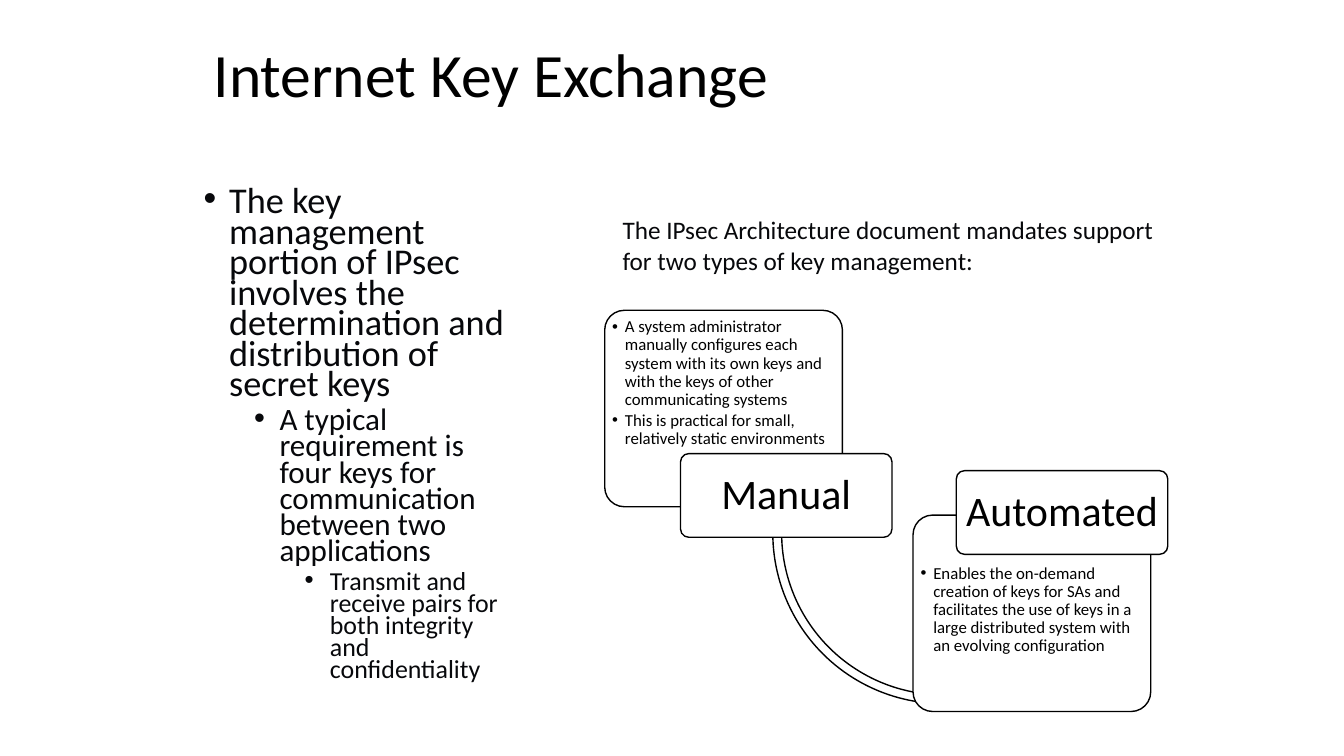
from lxml import etree
from pptx import Presentation
from pptx.dml.color import RGBColor
from pptx.enum.shapes import MSO_SHAPE
from pptx.enum.text import MSO_ANCHOR, MSO_AUTO_SIZE, PP_ALIGN
from pptx.oxml.ns import qn
from pptx.util import Cm, Pt

BLACK = RGBColor(0x00, 0x00, 0x00)
INK = RGBColor(0x07, 0x08, 0x0B)
WHITE = RGBColor(0xFF, 0xFF, 0xFF)
ROUNDED = MSO_SHAPE.ROUNDED_RECTANGLE
CURVED_ARROW = MSO_SHAPE.LEFT_CIRCULAR_ARROW
TOP, MIDDLE = MSO_ANCHOR.TOP, MSO_ANCHOR.MIDDLE
LEFT, CENTER = PP_ALIGN.LEFT, PP_ALIGN.CENTER
NO_FIT = MSO_AUTO_SIZE.NONE
FONT = "Calibri"

PANEL_W, PANEL_H = 5.99, 4.95
NOTES_W, NOTES_H = 5.77, 3.66
LABEL_W, LABEL_H = 5.33, 2.11
LABEL_PAD = 0.06


class SlideBuilder:
    def __init__(self, slide):
        self.slide = slide

    def place(self, shape, left, top, width, height):
        shape.left, shape.top = Cm(left), Cm(top)
        shape.width, shape.height = Cm(width), Cm(height)

    def style(self, paragraph, size, color=BLACK, align=LEFT, spacing=1.0, before=0, after=0):
        paragraph.font.name = FONT
        paragraph.font.size = Pt(size)
        paragraph.font.color.rgb = color
        paragraph.alignment = align
        paragraph.line_spacing = spacing
        paragraph.space_before, paragraph.space_after = Pt(before), Pt(after)

    def bullet(self, paragraph, margin, hanging):
        properties = paragraph._p.get_or_add_pPr()
        properties.set("marL", str(Cm(margin)))
        properties.set("indent", str(-Cm(hanging)))
        etree.SubElement(properties, qn("a:buFont")).set("typeface", "Arial")
        etree.SubElement(properties, qn("a:buChar")).set("char", "•")
        # Font defaults must follow the bullet settings
        defaults = properties.find(qn("a:defRPr"))
        if defaults is not None:
            properties.append(defaults)

    def paragraphs(self, frame, texts):
        frame.text = "\n".join(texts)
        return frame.paragraphs

    def title(self, text, *box):
        title = self.slide.shapes.title
        self.place(title, *box)
        frame = title.text_frame
        frame.text = text
        frame.auto_size, frame.vertical_anchor = NO_FIT, MIDDLE
        self.style(frame.paragraphs[0], 44, spacing=0.9)

    def outline(self, levels, *box):
        body = self.slide.placeholders[1]
        self.place(body, *box)
        frame = body.text_frame
        frame.auto_size = NO_FIT
        lines = self.paragraphs(frame, [text for text, _, _ in levels])
        for level, (line, (_, size, before)) in enumerate(zip(lines, levels)):
            line.level = level
            self.style(line, size, INK, spacing=0.7, before=before)
            self.bullet(line, 0.64 + 1.27 * level, 0.64)

    def text(self, texts, *box, pad=(0.25, 0.13), anchor=TOP):
        frame = self.slide.shapes.add_textbox(*map(Cm, box)).text_frame
        frame.word_wrap, frame.vertical_anchor = True, anchor
        frame.margin_left = frame.margin_right = Cm(pad[0])
        frame.margin_top = frame.margin_bottom = Cm(pad[1])
        return self.paragraphs(frame, texts)

    def shape(self, kind, adjustments, *box):
        shape = self.slide.shapes.add_shape(kind, *map(Cm, box))
        for index, value in enumerate(adjustments):
            shape.adjustments[index] = value
        shape.shadow.inherit = False
        shape.fill.solid()
        shape.fill.fore_color.rgb = WHITE
        shape.line.color.rgb = BLACK
        shape.line.width = Pt(1)

    def panel(self, notes, left, top, notes_top):
        self.shape(ROUNDED, [0.1], left, top, PANEL_W, PANEL_H)
        box = (left + 0.11, notes_top, NOTES_W, NOTES_H)
        for note in self.text(notes, *box, pad=(0.08, 0.08)):
            note.level = 1
            self.style(note, 12, spacing=0.9, after=2)
            self.bullet(note, 0.32, 0.32)

    def label(self, text, left, top):
        self.shape(ROUNDED, [0.1], left, top, LABEL_W, LABEL_H)
        box = (left + LABEL_PAD, top + LABEL_PAD,
               LABEL_W - 2 * LABEL_PAD, LABEL_H - 2 * LABEL_PAD)
        name = self.text([text], *box, pad=(0.15, 0.1), anchor=MIDDLE)[0]
        self.style(name, 30, align=CENTER, spacing=0.9)


def main():
    deck = Presentation()
    deck.slide_width, deck.slide_height = Cm(33.87), Cm(19.05)
    builder = SlideBuilder(deck.slides.add_slide(deck.slide_layouts[1]))

    # Title and outline
    builder.title("Internet Key Exchange", 5.13, 0.18, 24.51, 3.56)
    builder.outline([
        ("The key management portion of IPsec involves the determination "
         "and distribution of secret keys", 25.9, 10),
        ("A typical requirement is four keys for communication between "
         "two applications", 22.2, 5),
        ("Transmit and receive pairs for both integrity and confidentiality", 18.5, 5),
    ], 4.88, 4.65, 8.26, 13.77)

    # Manual key management, with the arrow leading on
    builder.panel([
        "A system administrator manually configures each system with its own "
        "keys and with the keys of other communicating systems",
        "This is practical for small, relatively static environments",
    ], 15.24, 7.82, 7.94)
    builder.shape(CURVED_ARROW, [0.025, 2.969, 49.515, 119.035, 0.029],
                  19.33, 8.99, 8.89, 8.89)
    builder.label("Manual", 17.15, 11.43)

    # Automated key management
    builder.panel([
        "Enables the on-demand creation of keys for SAs and facilitates the use "
        "of keys in a large distributed system with an evolving configuration",
    ], 23.01, 12.98, 14.15)
    builder.label("Automated", 24.1, 11.86)

    # Introduction to the diagram
    introduction = builder.text([
        "The IPsec Architecture document mandates support for two types of "
        "key management:",
    ], 15.44, 5.28, 14.17, 2.57)[0]
    builder.style(introduction, 18, INK)

    deck.save("out.pptx")


if __name__ == "__main__":
    main()
